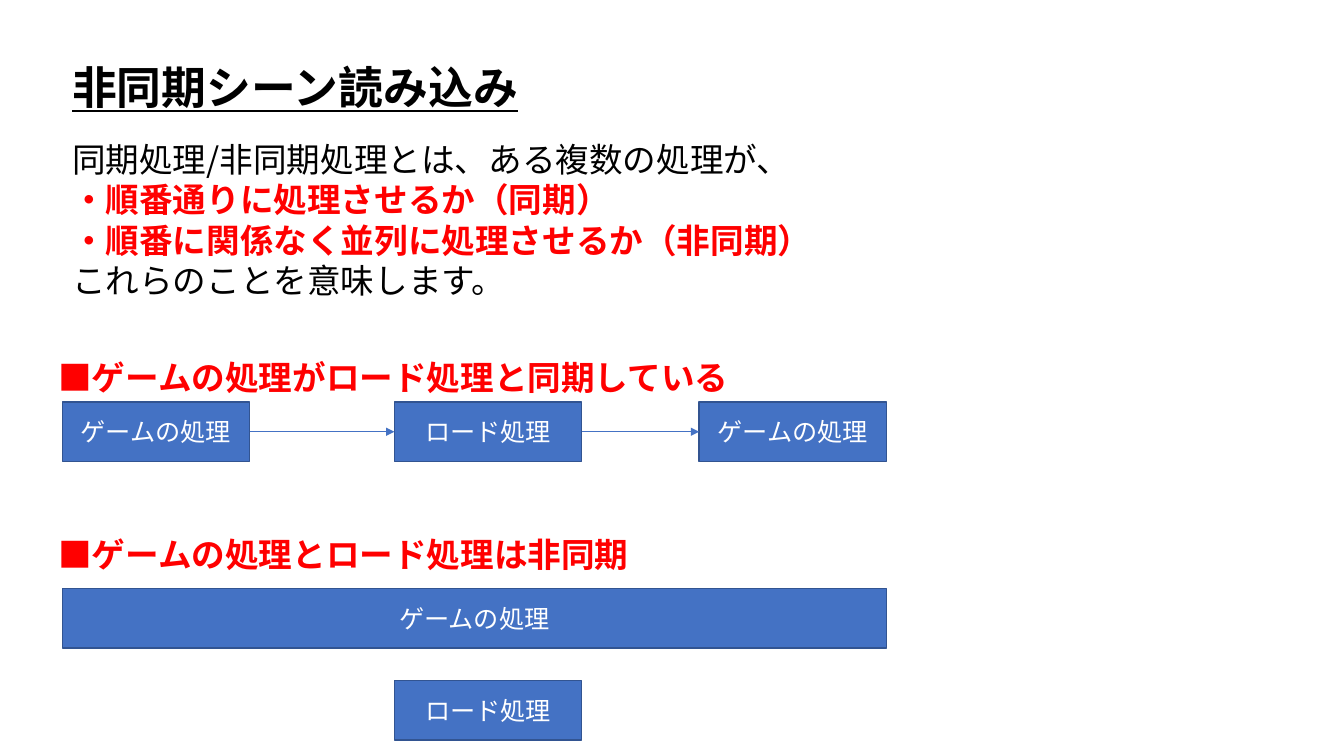
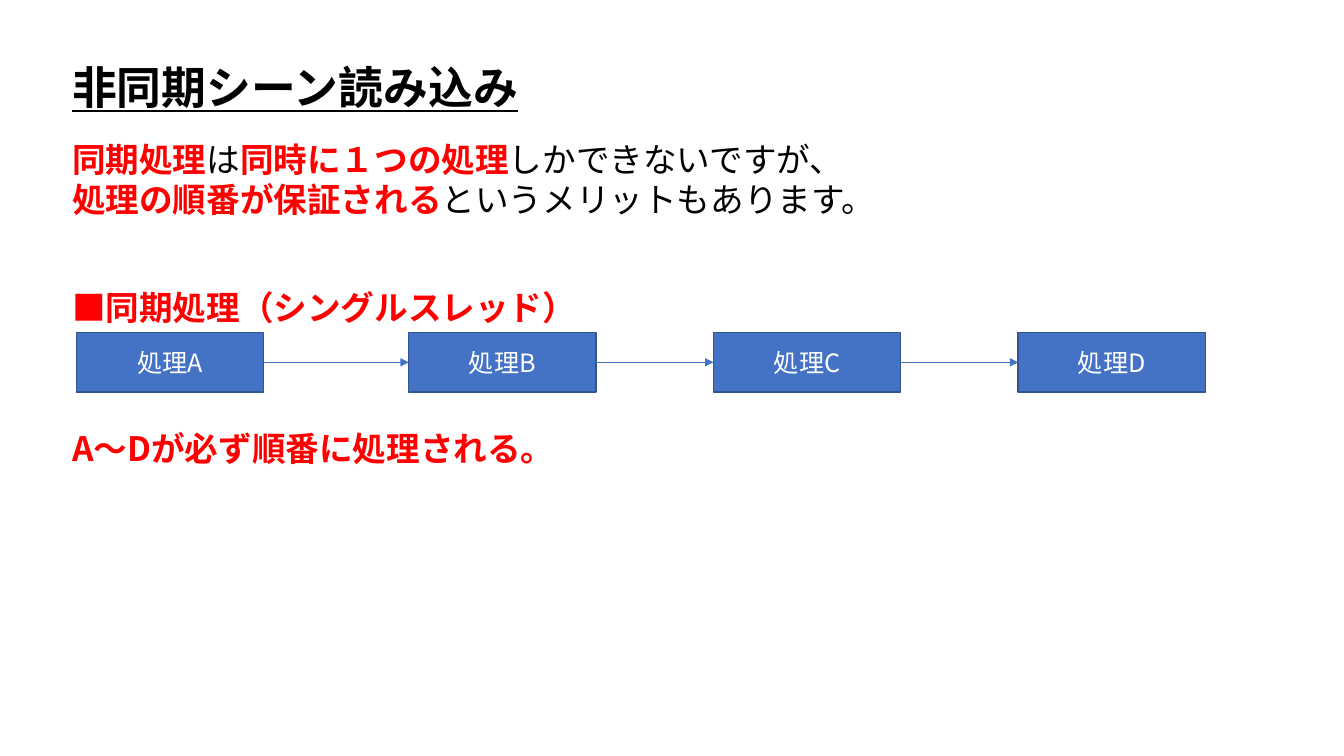
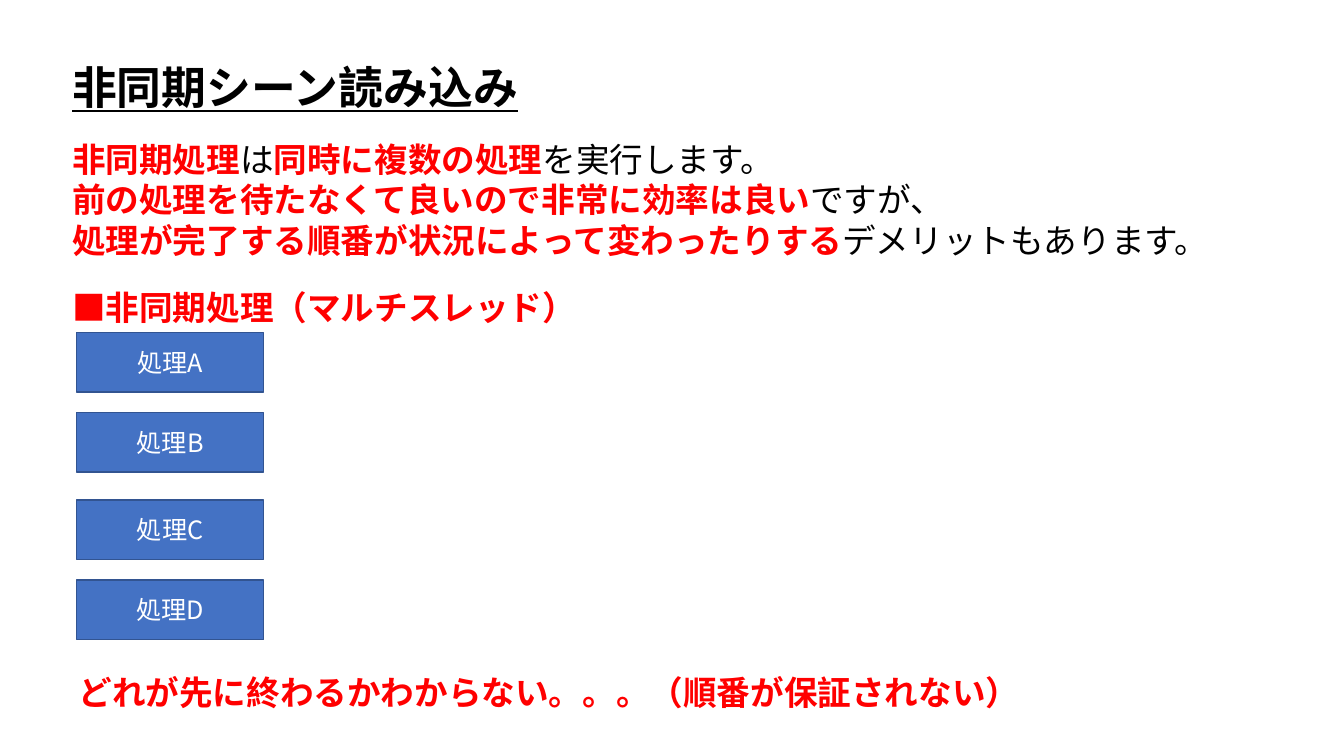
"""Build three slides on synchronous and asynchronous scene loading."""
from lxml import etree
from pptx import Presentation, util as u
from pptx.dml.color import RGBColor
from pptx.enum import shapes, text
from pptx.oxml.ns import qn

FONT = "Noto Sans CJK JP"
HUES = {"ink": "000000", "key": "FF0000", "fill": "4472C4", "edge": "325491", "page": "FFFFFF"}
TITLE = "非同期シーン読み込み"
LEFT = 1.57
BOX_W, BOX_H = 4.72, 1.5
FIRST, STEP = 8.37, 7.68


def hue(name):
    """Return a palette colour."""
    return RGBColor.from_string(HUES[name])


def style(run, size, tone, bold=False, under=None):
    """Give a run its font, for Latin and Japanese text alike."""
    font = run.font
    font.size, font.bold, font.underline = u.Pt(size), bold, under
    font.color.rgb = hue(tone)
    font.name = FONT
    etree.SubElement(run._r.get_or_add_rPr(), qn("a:ea"), typeface=FONT)


def frame(slide, x, y, w, h):
    """Add an unwrapped text box and return its text frame."""
    body = slide.shapes.add_textbox(u.Cm(x), u.Cm(y), u.Cm(w), u.Cm(h)).text_frame
    body.word_wrap = False
    body.auto_size = text.MSO_AUTO_SIZE.SHAPE_TO_FIT_TEXT
    return body


def prose(slide, x, y, w, lines):
    """Write lines of text; parts between asterisks are bold red."""
    body = frame(slide, x, y, w, 0.24 + 1.03 * len(lines))
    for n, line in enumerate(lines):
        para = body.add_paragraph() if n else body.paragraphs[0]
        for i, part in enumerate(line.split("*")):
            if part:
                run = para.add_run()
                run.text = part
                style(run, 24, "key" if i % 2 else "ink", bold=i % 2 == 1)


def box(slide, x, y, label, w=BOX_W):
    """Add a labelled process box."""
    rect = slide.shapes.add_shape(
        shapes.MSO_SHAPE.RECTANGLE, u.Cm(x), u.Cm(y), u.Cm(w), u.Cm(BOX_H))
    rect.shadow.inherit = False
    rect.fill.solid()
    rect.fill.fore_color.rgb = hue("fill")
    rect.line.color.rgb = hue("edge")
    rect.line.width = u.Pt(1)
    body = rect.text_frame
    body.text = label
    body.vertical_anchor = text.MSO_ANCHOR.MIDDLE
    para = body.paragraphs[0]
    para.alignment = text.PP_ALIGN.CENTER
    style(para.runs[0], 18, "page")
    return rect


def arrow(slide, start, end):
    """Join the right side of one box to the left side of the next."""
    link = slide.shapes.add_connector(shapes.MSO_CONNECTOR.STRAIGHT, 0, 0, 0, 0)
    link.begin_connect(start, 3)
    link.end_connect(end, 1)
    link.line.color.rgb = hue("fill")
    link.line.width = u.Pt(0.5)
    etree.SubElement(link.line._get_or_add_ln(), qn("a:tailEnd"), type="triangle")
    etree.SubElement(link._element.spPr, qn("a:effectLst"))


def flow(slide, x, y, labels):
    """Lay boxes in a row, each joined to the next by an arrow."""
    row = [box(slide, x + (FIRST + STEP * (i - 1) if i else 0), y, label)
           for i, label in enumerate(labels)]
    for start, end in zip(row, row[1:]):
        arrow(slide, start, end)


def page(deck, w, lines):
    """Add a slide with the shared title and its opening text."""
    slide = deck.slides.add_slide(deck.slide_layouts[6])
    body = frame(slide, LEFT, 1.37, 11.91, 1.62)
    body.text = TITLE
    style(body.paragraphs[0].runs[0], 32, "ink", bold=True, under=True)
    prose(slide, LEFT, 3.38, w, lines)
    return slide


def main():
    """Build and save the deck."""
    deck = Presentation()
    deck.slide_width, deck.slide_height = u.Cm(33.87), u.Cm(19.05)
    tasks = [f"処理{mark}" for mark in "ABCD"]
    game, load = "ゲームの処理", "ロード処理"
    inset, top = 1.93, 8.38

    intro = page(deck, 19.33, [
        "同期処理/非同期処理とは、ある複数の処理が、",
        "*・順番通りに処理させるか（同期）*",
        "*・順番に関係なく並列に処理させるか（非同期）*",
        "これらのことを意味します。"])
    flow(intro, LEFT, 10.13, [game, load, game])
    box(intro, LEFT, 14.83, game, FIRST + STEP + BOX_W)
    box(intro, LEFT + FIRST, 17.15, load)
    prose(intro, 1.22, 8.86, 17.6, ["*■ゲームの処理がロード処理と同期している*"])
    prose(intro, 1.22, 13.34, 15.04, ["*■ゲームの処理とロード処理は非同期*"])

    sync = page(deck, 21.03, [
        "*同期処理*は*同時に１つの処理*しかできないですが、",
        "*処理の順番が保証される*というメリットもあります。"])
    prose(sync, LEFT, 7.11, 13.34, ["*■同期処理（シングルスレッド）*"])
    flow(sync, inset, top, tasks)
    prose(sync, LEFT, 10.67, 12.88, ["*A～Dが必ず順番に処理される。*"])

    free = page(deck, 29.59, [
        "*非同期処理*は*同時に複数の処理*を実行します。",
        "*前の処理を待たなくて良いので非常に効率は良い*ですが、",
        "*処理が完了する順番が状況によって変わったりする*デメリットもあります。"])
    prose(free, LEFT, 7.11, 13.34, ["*■非同期処理（マルチスレッド）*"])
    for i, task in enumerate(tasks):
        box(free, inset, top + 4.22 * (i // 2) + 2.02 * (i % 2), task)
    prose(free, 1.73, 16.81, 24.46, ["*どれが先に終わるかわからない。。。（順番が保証されない）*"])

    deck.save("out.pptx")


if __name__ == "__main__":
    main()
